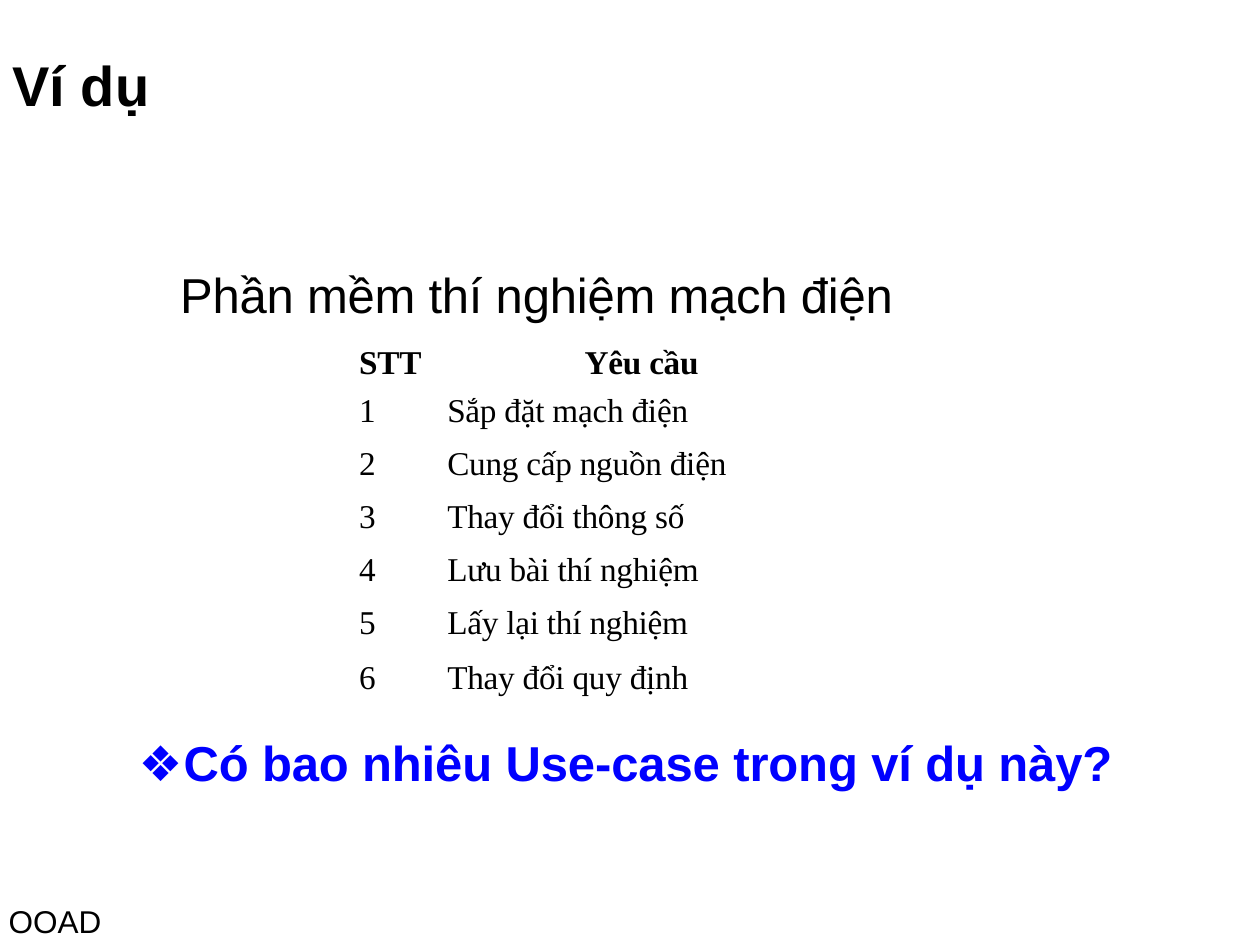
from pptx import Presentation
from pptx.dml.color import RGBColor
from pptx.enum.text import MSO_ANCHOR, PP_ALIGN
from pptx.util import Inches, Pt

BLACK, BLUE = "000000", "0000FF"
REQUIREMENTS = [
    "Sắp đặt mạch điện",
    "Cung cấp nguồn điện",
    "Thay đổi thông số",
    "Lưu bài thí nghiệm",
    "Lấy lại thí nghiệm",
    "Thay đổi quy định",
]


def color(hex_code):
    return RGBColor.from_string(hex_code)


def style(paragraph, size, font="Arial", bold=False, hex_code=BLACK, indent=0.01,
          before=0, line=None, tracking=0):
    """Format a paragraph; indent is in inches, tracking in points."""
    paragraph.alignment = PP_ALIGN.LEFT
    paragraph.font.size = Pt(size)
    paragraph.font.name = font
    paragraph.font.bold = bold
    paragraph.font.color.rgb = color(hex_code)
    paragraph.space_before = Pt(before)
    if line:
        paragraph.line_spacing = Pt(line)
    properties = paragraph._p.get_or_add_pPr()
    properties.set("marL", str(Inches(indent)))
    properties.set("indent", "0")
    if tracking:
        for run in paragraph.runs:
            run.font._element.set("spc", str(round(tracking * 100)))


def prepare_frame(frame, top=0):
    frame.margin_left = frame.margin_right = frame.margin_bottom = 0
    frame.margin_top = Inches(top)
    frame.vertical_anchor = MSO_ANCHOR.TOP
    frame.word_wrap = True


def place_title(slide, left, top, width, height):
    title = slide.shapes.title
    title.left, title.top = Inches(left), Inches(top)
    title.width, title.height = Inches(width), Inches(height)
    prepare_frame(title.text_frame, 0.01)
    title.text_frame.text = "Ví dụ"
    style(title.text_frame.paragraphs[0], 32, bold=True, before=1)


def add_text(slide, left, top, width, height, parts, size, inset=0, **formatting):
    """Add one line of text made of the given runs and return its paragraph."""
    box = slide.shapes.add_textbox(Inches(left), Inches(top), Inches(width), Inches(height))
    prepare_frame(box.text_frame, inset)
    paragraph = box.text_frame.paragraphs[0]
    for part in parts:
        paragraph.add_run().text = part
    style(paragraph, size, **formatting)
    return paragraph


def add_question(slide, left, top, width, height):
    paragraph = add_text(slide, left, top, width, height,
                         ["❖", "Có bao nhiêu Use-case trong ví dụ này?"], 28,
                         hex_code=BLUE, bold=True, line=31.9)
    marker, question = paragraph.runs
    marker.font.bold = False
    marker.font._element.set("spc", "60")
    question.font._element.set("spc", "-5")


def add_requirements(slide, left, top, width, height):
    rows = [("STT", "Yêu cầu")]
    rows += [(str(number), text) for number, text in enumerate(REQUIREMENTS, 1)]
    table = slide.shapes.add_table(len(rows), 2, Inches(left), Inches(top),
                                   Inches(width), Inches(height)).table
    table.first_row = table.horz_banding = False
    number_width, edge_height = 0.74, 0.35
    table.columns[0].width = Inches(number_width)
    table.columns[1].width = Inches(width - number_width)
    inner_height = (height - 2 * edge_height) / (len(rows) - 2)

    for index, texts in enumerate(rows):
        header, last = index == 0, index == len(rows) - 1
        table.rows[index].height = Inches(edge_height if header or last else inner_height)
        indents = (0.14, 1.19) if header else (0.14, 0.1)
        for cell, text, indent in zip(table.rows[index].cells, texts, indents):
            cell.fill.background()
            cell.margin_left = cell.margin_right = cell.margin_bottom = 0
            cell.margin_top = Inches(0 if header else 0.03)
            cell.text = text
            style(cell.text_frame.paragraphs[0], 19, "Times New Roman", header,
                  indent=indent, before=0 if header else 2.4,
                  line=20.7 if header else 22.1 if last else None,
                  tracking=0 if text.isdigit() else -0.1)


def main():
    deck = Presentation()
    deck.slide_width, deck.slide_height = Inches(10), Inches(7.5)
    slide = deck.slides.add_slide(deck.slide_layouts[5])
    place_title(slide, 0.09, 0.39, 1.12, 0.56)
    add_question(slide, 1.09, 5.84, 7.82, 0.46)
    add_text(slide, 0.06, 7.17, 0.77, 0.31, ["OOAD"], 18, line=20.9)
    add_requirements(slide, 2.71, 2.74, 3.23, 2.8)
    add_text(slide, 1.42, 2.09, 5.74, 0.49, ["Phần mềm thí nghiệm mạch điện"], 28,
             inset=0.01, before=0.9, tracking=-0.1)
    deck.save("out.pptx")


if __name__ == "__main__":
    main()
